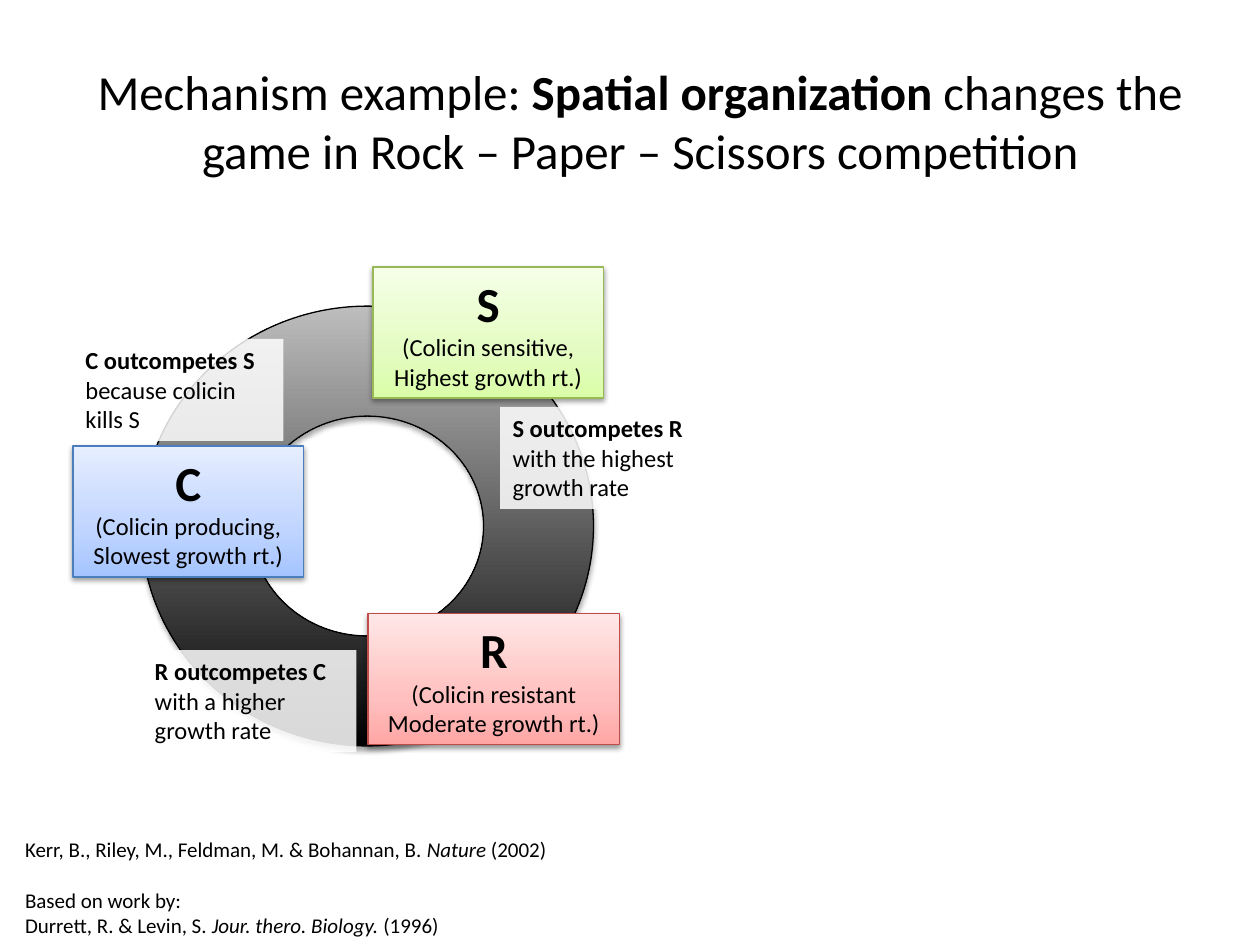
from dataclasses import dataclass

from lxml.etree import SubElement
from pptx import Presentation
from pptx.dml.color import RGBColor
from pptx.enum.shapes import MSO_SHAPE as Shape
from pptx.enum.text import MSO_ANCHOR as Anchor, PP_ALIGN as Align
from pptx.oxml.ns import qn
from pptx.util import Inches, Pt


@dataclass(frozen=True)
class Theme:
    font: str = "Calibri"
    ink: str = "000000"
    paper: str = "FFFFFF"
    heading: int = 28
    body: int = 14
    reference: int = 12
    outline: float = 0.75
    ring: tuple = ((0, "000000"), (100, "BDBDBD"))
    blue: tuple = ((0, "A4C4FF"), (35, "BFD4FF"), (100, "E6EEFF"))
    red: tuple = ((0, "FFA6A5"), (35, "FFC0BF"), (100, "FFE7E7"))
    green: tuple = ((0, "DAFDA7"), (35, "E4FCC2"), (100, "F5FFE7"))
    blue_line: str = "4B7EBC"
    red_line: str = "BF4C48"
    green_line: str = "98B955"


class SlideBuilder:
    """Places elements on a grid of 100 columns by 75 rows."""

    columns, rows = 100, 75

    def __init__(self, deck, theme):
        self.theme = theme
        self.page = deck.slides.add_slide(deck.slide_layouts[6])
        self.column = deck.slide_width / self.columns
        self.row = deck.slide_height / self.rows

    def place(self, left, top, width, height):
        return (round(left * self.column), round(top * self.row),
                round(width * self.column), round(height * self.row))

    def fill_text(self, box, paragraphs, align=Align.LEFT, anchor=Anchor.TOP):
        """Fill box with (size, space before, runs); a run is (text, style)."""
        frame = box.text_frame
        frame.word_wrap = True
        frame.vertical_anchor = anchor
        for index, (size, gap, runs) in enumerate(paragraphs):
            para = frame.add_paragraph() if index else frame.paragraphs[0]
            para.alignment = align
            if gap:
                para.space_before = Pt(gap)
            font = para.font
            font.name, font.size = self.theme.font, Pt(size)
            font.color.rgb = RGBColor.from_string(self.theme.ink)
            for text, style in runs:
                span = para.add_run()
                span.text = text
                if style == "bold":
                    span.font.bold = True
                elif style == "italic":
                    span.font.italic = True

    def text(self, area, paragraphs, **layout):
        box = self.page.shapes.add_textbox(*self.place(*area))
        self.fill_text(box, paragraphs, **layout)

    def shaded(self, kind, area, stops, line, opacity, distance):
        """Add a shape with an upward gradient, an outline and a soft shadow."""
        shape = self.page.shapes.add_shape(kind, *self.place(*area))
        shape.line.color.rgb = RGBColor.from_string(line)
        shape.line.width = Pt(self.theme.outline)
        shape.fill.gradient()
        shape.fill.gradient_angle = 90
        properties = shape.element.spPr
        stop_list = properties.find(".//" + qn("a:gsLst"))
        for stop in list(stop_list):
            stop_list.remove(stop)
        for position, color in stops:
            stop = SubElement(stop_list, qn("a:gs"), pos=str(position * 1000))
            SubElement(stop, qn("a:srgbClr"), val=color)

        shape.shadow.inherit = False
        shadow = SubElement(properties.find(qn("a:effectLst")), qn("a:outerShdw"),
                            blurRad=str(Pt(3.1)), dist=str(Pt(distance)),
                            dir="5400000", rotWithShape="0")
        color = SubElement(shadow, qn("a:srgbClr"), val=self.theme.ink)
        SubElement(color, qn("a:alpha"), val=str(opacity * 1000))
        return shape

    def ring(self, area):
        self.shaded(Shape.DONUT, area, self.theme.ring, self.theme.ink, 35, 1.8)

    def strain(self, area, stops, line, letter, traits):
        card = self.shaded(Shape.RECTANGLE, area, stops, line, 38, 1.6)
        self.fill_text(card, [(self.theme.heading, 0, [(letter, "bold")])]
                       + [(self.theme.body, 0, [(trait, "")]) for trait in traits],
                       align=Align.CENTER)

    def veil(self, area, opacity, *paragraphs):
        """Add a translucent note; each paragraph is a list of runs."""
        note = self.page.shapes.add_shape(Shape.RECTANGLE, *self.place(*area))
        note.shadow.inherit = False
        note.line.fill.background()
        note.fill.solid()
        note.fill.fore_color.rgb = RGBColor.from_string(self.theme.paper)
        color = note.element.spPr.find(qn("a:solidFill")).find(qn("a:srgbClr"))
        SubElement(color, qn("a:alpha"), val=str(opacity * 1000))
        self.fill_text(note, [(self.theme.body, 0, runs) for runs in paragraphs])


def main():
    deck = Presentation()
    deck.slide_width, deck.slide_height = Inches(10), Inches(7.5)
    theme = Theme()
    slide = SlideBuilder(deck, theme)

    slide.ring((11.2, 24.3, 35.9, 34.9))
    slide.text((5.8, 3.3, 90, 12.5), [(theme.heading, 0, [
        ("Mechanism example: ", ""),
        ("Spatial organization ", "bold"),
        ("changes the game in Rock – Paper – Scissors competition", ""),
    ])], align=Align.CENTER, anchor=Anchor.MIDDLE)

    slide.strain((5.8, 35.4, 18.3, 10.4), theme.blue, theme.blue_line,
                 "C", ("(Colicin producing,", "Slowest growth rt.)"))
    slide.strain((29.2, 48.7, 20, 10.4), theme.red, theme.red_line,
                 "R", ("(Colicin resistant", "Moderate growth rt.)"))
    slide.strain((29.6, 21.2, 18.3, 10.4), theme.green, theme.green_line,
                 "S", ("(Colicin sensitive,", "Highest growth rt.)"))

    slide.veil((39.7, 32.3, 16.4, 8.1), 85,
               [("S outcompetes R ", "bold"), ("with the highest growth rate", "")])
    slide.veil((11.3, 51.6, 17, 8.1), 85,
               [("R outcompetes C ", "bold"), ("with a higher growth rate", "")])
    slide.veil((5.8, 26.9, 16.7, 8.1), 83,
               [("C outcompetes S", "bold")], [("because colicin kills S", "")])

    slide.text((1, 65.9, 54.8, 9.1), [
        (theme.reference, 0, [("Kerr, B., Riley, M., Feldman, M. & Bohannan, B. ", ""),
                              ("Nature", "italic"), (" (2002)", "")]),
        (theme.reference, 14.6, [("Based on work by:", "")]),
        (theme.reference, 0, [("Durrett, R. & Levin, S. ", ""),
                              ("Jour. thero. Biology. ", "italic"), ("(1996)", "")]),
    ])
    deck.save("out.pptx")


if __name__ == "__main__":
    main()
